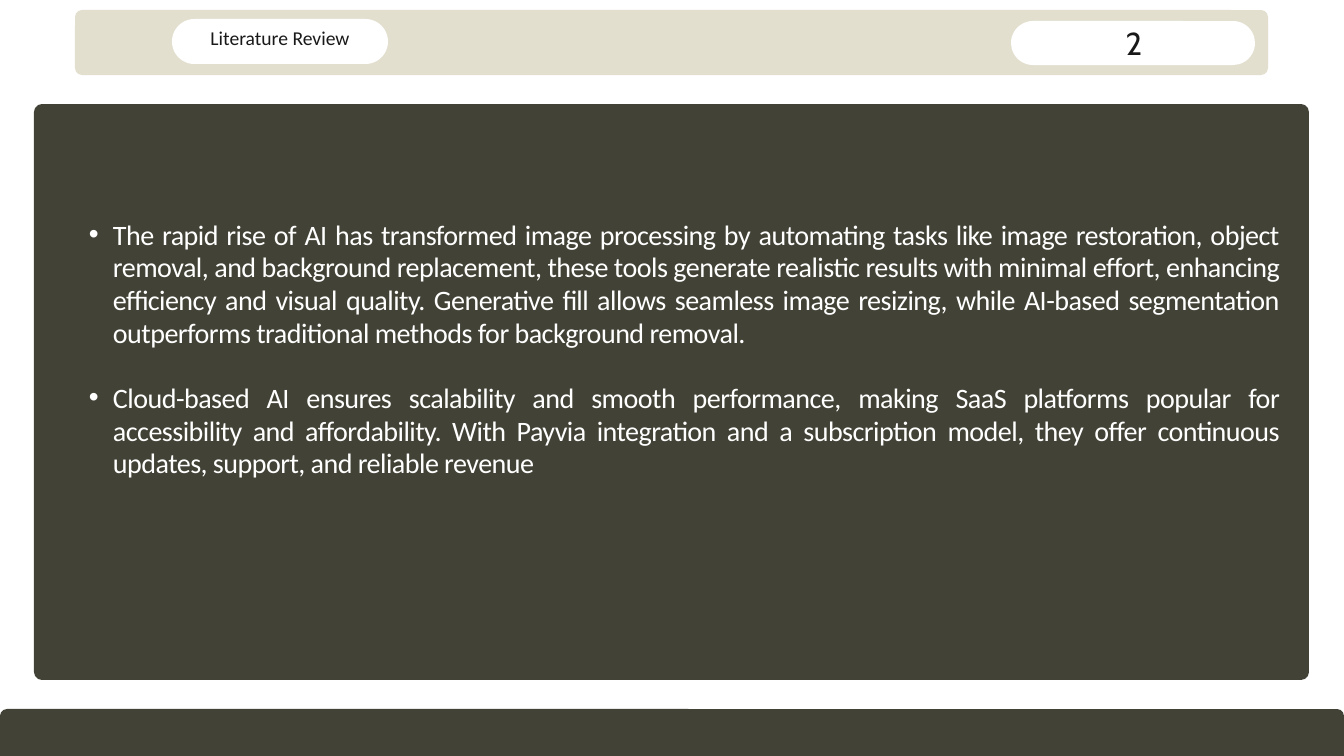
from pptx import Presentation
from pptx.dml.color import RGBColor
from pptx.enum.shapes import MSO_SHAPE as SHAPE
from pptx.enum.text import MSO_ANCHOR as ANCHOR, MSO_AUTO_SIZE as AUTO, PP_ALIGN as ALIGN
from pptx.oxml.ns import qn
from pptx.util import Pt
from lxml.etree import SubElement

PX = 914400 / 67.2
COLORS = {"dark": "424236", "sand": "E2DFCF", "white": "FFFFFF", "ink": "191919"}

TITLE = "Literature Review"
PAGE = "2"
POINTS = [
    "The rapid rise of AI has transformed image processing by automating tasks like image "
    "restoration, object removal, and background replacement, these tools generate realistic "
    "results with minimal effort, enhancing efficiency and visual quality. Generative fill allows "
    "seamless image resizing, while AI-based segmentation outperforms traditional methods for "
    "background removal.",
    "Cloud-based AI ensures scalability and smooth performance, making SaaS platforms popular "
    "for accessibility and affordability. With Payvia integration and a subscription model, they "
    "offer continuous updates, support, and reliable revenue",
]

# left, top, width, height, corner radius, colour
PANELS = [
    (0, 709, 1344, 143, 7, "dark"),
    (75, 10, 1193, 65, 7, "sand"),
    (1011, 21, 244, 44, 22, "white"),
    (172, 19, 216, 45, 22.5, "white"),
    (34, 104, 1275, 576, 8, "dark"),
]
TITLE_BOX = (172, 7, 216, 57)
BODY_BOX = (65, 218, 1214, 322)
PAGE_BOX = (1012, 17, 244, 42)


def px(n):
    return round(n * PX)


def rgb(name):
    return RGBColor.from_string(COLORS[name])


def add_panel(slide, x, y, w, h, radius, color):
    sp = slide.shapes.add_shape(SHAPE.ROUNDED_RECTANGLE, px(x), px(y), px(w), px(h))
    sp.adjustments[0] = radius / min(w, h)
    sp.shadow.inherit = False
    sp.fill.solid()
    sp.fill.fore_color.rgb = rgb(color)
    sp.line.fill.background()


def set_frame(sp, inset=0, anchor=ANCHOR.TOP):
    tf = sp.text_frame
    tf.word_wrap = True
    tf.auto_size = AUTO.NONE
    tf.vertical_anchor = anchor
    tf.margin_left = tf.margin_right = tf.margin_top = tf.margin_bottom = px(inset)
    return tf


def add_text(p, text, font, size, color, leading, align):
    p.alignment = align
    p.line_spacing = Pt(leading)
    r = p.add_run()
    r.text = text
    r.font.name = font
    r.font.size = Pt(size)
    r.font.color.rgb = rgb(color)
    return r


def set_bullet(p, indent, hanging):
    pPr = p._p.get_or_add_pPr()
    pPr.set("marL", str(px(indent)))
    pPr.set("indent", str(-px(hanging)))
    SubElement(pPr, qn("a:buFont"), typeface="Arial")
    SubElement(pPr, qn("a:buChar"), char="•")


def add_box(slide, box):
    return slide.shapes.add_textbox(*map(px, box))


def main():
    prs = Presentation()
    prs.slide_width, prs.slide_height = px(1344), px(756)
    slide = prs.slides.add_slide(prs.slide_layouts[5])

    for panel in PANELS:
        add_panel(slide, *panel)

    title = slide.shapes.title
    title.left, title.top, title.width, title.height = map(px, TITLE_BOX)
    slide.shapes._spTree.append(title._element)
    tf = set_frame(title, 4, ANCHOR.MIDDLE)
    add_text(tf.paragraphs[0], TITLE, "Calibri", 21, "ink", 29.4, ALIGN.CENTER)

    tf = set_frame(add_box(slide, BODY_BOX))
    for i, point in enumerate(POINTS):
        p = tf.add_paragraph() if i else tf.paragraphs[0]
        set_bullet(p, 48, 24)
        if i:
            p.space_before = Pt(35)
        r = add_text(p, point, "Calibri", 30.1, "white", 35, ALIGN.JUSTIFY)
        r.font._element.set("spc", "-60")

    tf = set_frame(add_box(slide, PAGE_BOX))
    add_text(tf.paragraphs[0], PAGE, "Cabin", 34, "ink", 47.6, ALIGN.CENTER)

    prs.save("out.pptx")


if __name__ == "__main__":
    main()
